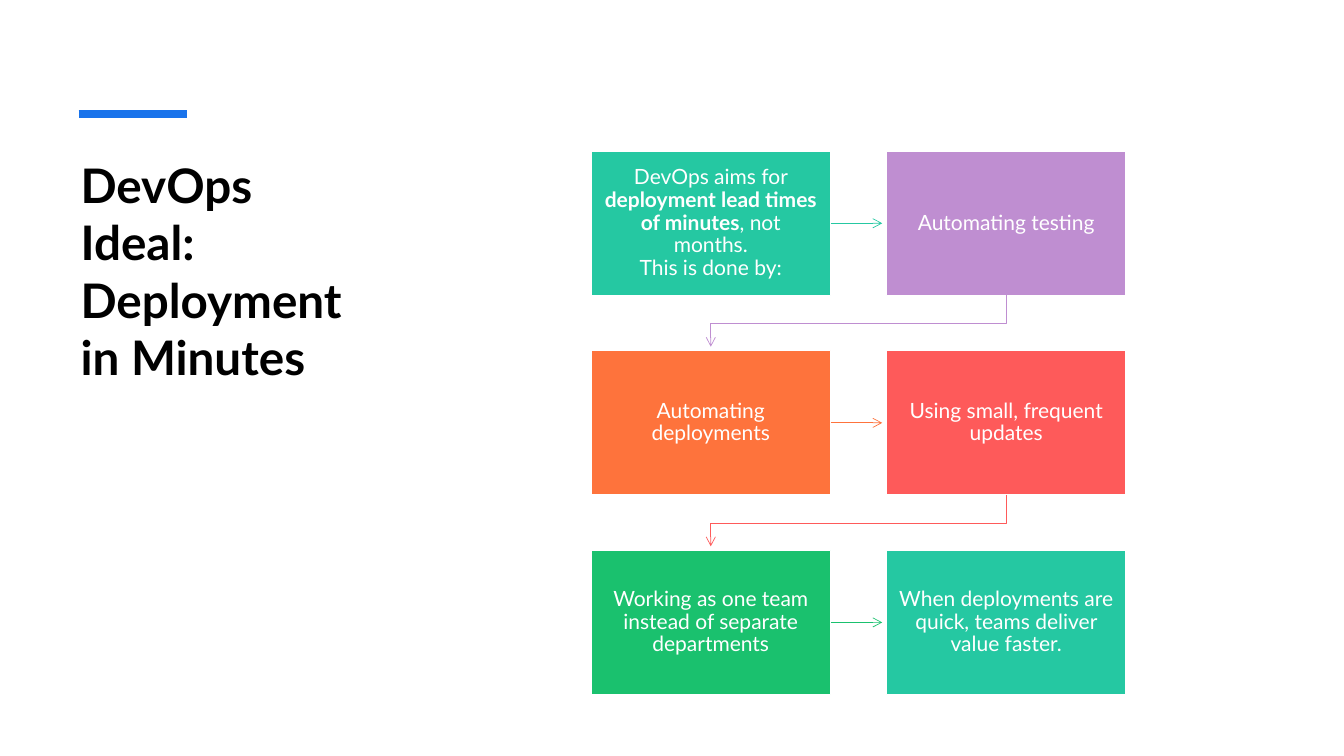
"""Build the DevOps deployment slide, with six steps in a winding flow."""
from lxml.etree import SubElement
from pptx import Presentation
from pptx.dml.color import RGBColor
from pptx.enum.shapes import MSO_CONNECTOR, MSO_SHAPE
from pptx.enum.text import MSO_ANCHOR, MSO_AUTO_SIZE, PP_ALIGN
from pptx.oxml.ns import qn
from pptx.util import Inches, Pt

COLORS = {
    "black": "000000", "white": "FFFFFF", "blue": "1973EB",
    "teal": "25C8A2", "purple": "BF8ED1", "orange": "FE733C",
    "red": "FE5A5A", "green": "1AC16E",
}
STEPS = [
    ("teal", [("DevOps aims for ", False),
              ("deployment lead times of minutes", True),
              (", not months.\nThis is done by:", False)]),
    ("purple", [("Automating testing", False)]),
    ("orange", [("Automating deployments", False)]),
    ("red", [("Using small, frequent updates", False)]),
    ("green", [("Working as one team instead of separate departments", False)]),
    ("teal", [("When deployments are quick, teams deliver value faster.", False)]),
]
LEFT, TOP = Inches(5.86), Inches(1.5)
WIDTH, HEIGHT = Inches(2.38), Inches(1.43)
STEP_X, STEP_Y = Inches(2.93), Inches(1.98)
GAP, DROP = Inches(0.04), Inches(0.28)


def color(name):
    return RGBColor.from_string(COLORS[name])


def write(shape, parts, size=15, ink="white", align=PP_ALIGN.CENTER,
          anchor=MSO_ANCHOR.MIDDLE, inset=None, spacing=0.9, after=5):
    frame = shape.text_frame
    frame.word_wrap = True
    frame.auto_size = MSO_AUTO_SIZE.NONE
    frame.vertical_anchor = anchor
    if inset is not None:
        frame.margin_left = frame.margin_right = inset
        frame.margin_top = frame.margin_bottom = inset
    para = frame.paragraphs[0]
    para.alignment = align
    para.line_spacing = spacing
    para.space_after = Pt(after)
    for text, bold in parts:
        for index, line in enumerate(text.split("\n")):
            if index:
                para.add_line_break()
            run = para.add_run()
            run.text = line
            run.font.name = "Lato"
            run.font.size = Pt(size)
            run.font.bold = bold
            run.font.color.rgb = color(ink)


def stroke(shape, name, width, arrow=False):
    shape.line.color.rgb = color(name)
    shape.line.width = Pt(width)
    props = shape.element.spPr
    if arrow:
        SubElement(props.find(qn("a:ln")), qn("a:tailEnd"), type="arrow")
    SubElement(props, qn("a:effectLst"))


def add_box(slide, index, name, parts):
    row, col = divmod(index, 2)
    box = slide.shapes.add_shape(
        MSO_SHAPE.RECTANGLE, LEFT + col * STEP_X, TOP + row * STEP_Y,
        WIDTH, HEIGHT)
    box.fill.solid()
    box.fill.fore_color.rgb = color(name)
    stroke(box, "white", 1)
    write(box, parts, inset=Inches(0.12))
    return box


def add_across(slide, start, end, name):
    mid = start.top + HEIGHT // 2
    arrow = slide.shapes.add_connector(
        MSO_CONNECTOR.STRAIGHT, start.left + WIDTH, mid, end.left - GAP, mid)
    arrow.begin_connect(start, 3)
    stroke(arrow, name, 0.5, arrow=True)


def add_turn(slide, start, end, name):
    right, left = start.left + WIDTH // 2, end.left + WIDTH // 2
    base = start.top + HEIGHT
    path = slide.shapes.build_freeform(right, base)
    path.add_line_segments(
        [(right, base + DROP), (left, base + DROP), (left, end.top - GAP)],
        close=False)
    arrow = path.convert_to_shape()
    arrow.fill.background()
    stroke(arrow, name, 0.5, arrow=True)


def add_title(slide):
    title = slide.shapes.title
    title.left, title.top = Inches(0.7), Inches(1.5)
    title.width, title.height = Inches(2.9), Inches(4.54)
    write(title, [("DevOps Ideal: Deployment in Minutes", True)], size=34,
          ink="black", align=PP_ALIGN.LEFT, anchor=MSO_ANCHOR.TOP,
          spacing=1.0, after=0)


def add_accent(slide):
    bar = slide.shapes.add_connector(
        MSO_CONNECTOR.STRAIGHT, Inches(0.78), Inches(1.13),
        Inches(1.85), Inches(1.13))
    stroke(bar, "blue", 6)


def main():
    deck = Presentation()
    deck.slide_width, deck.slide_height = Inches(13.33), Inches(7.5)
    slide = deck.slides.add_slide(deck.slide_layouts[5])
    add_title(slide)
    add_accent(slide)
    boxes = [add_box(slide, index, name, parts)
             for index, (name, parts) in enumerate(STEPS)]
    for index, (start, end) in enumerate(zip(boxes, boxes[1:])):
        join = add_turn if index % 2 else add_across
        join(slide, start, end, STEPS[index][0])
    deck.save("out.pptx")


if __name__ == "__main__":
    main()
